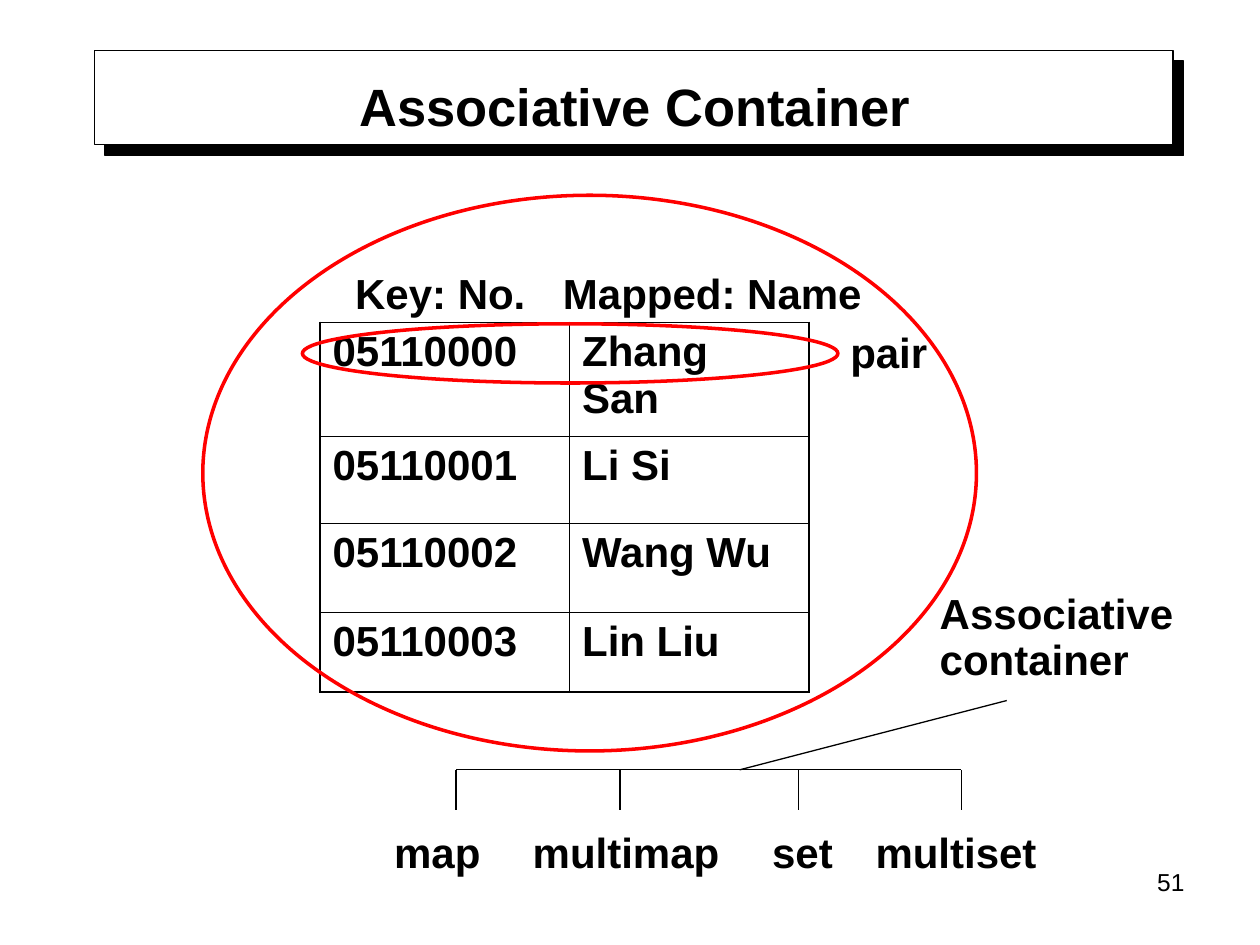
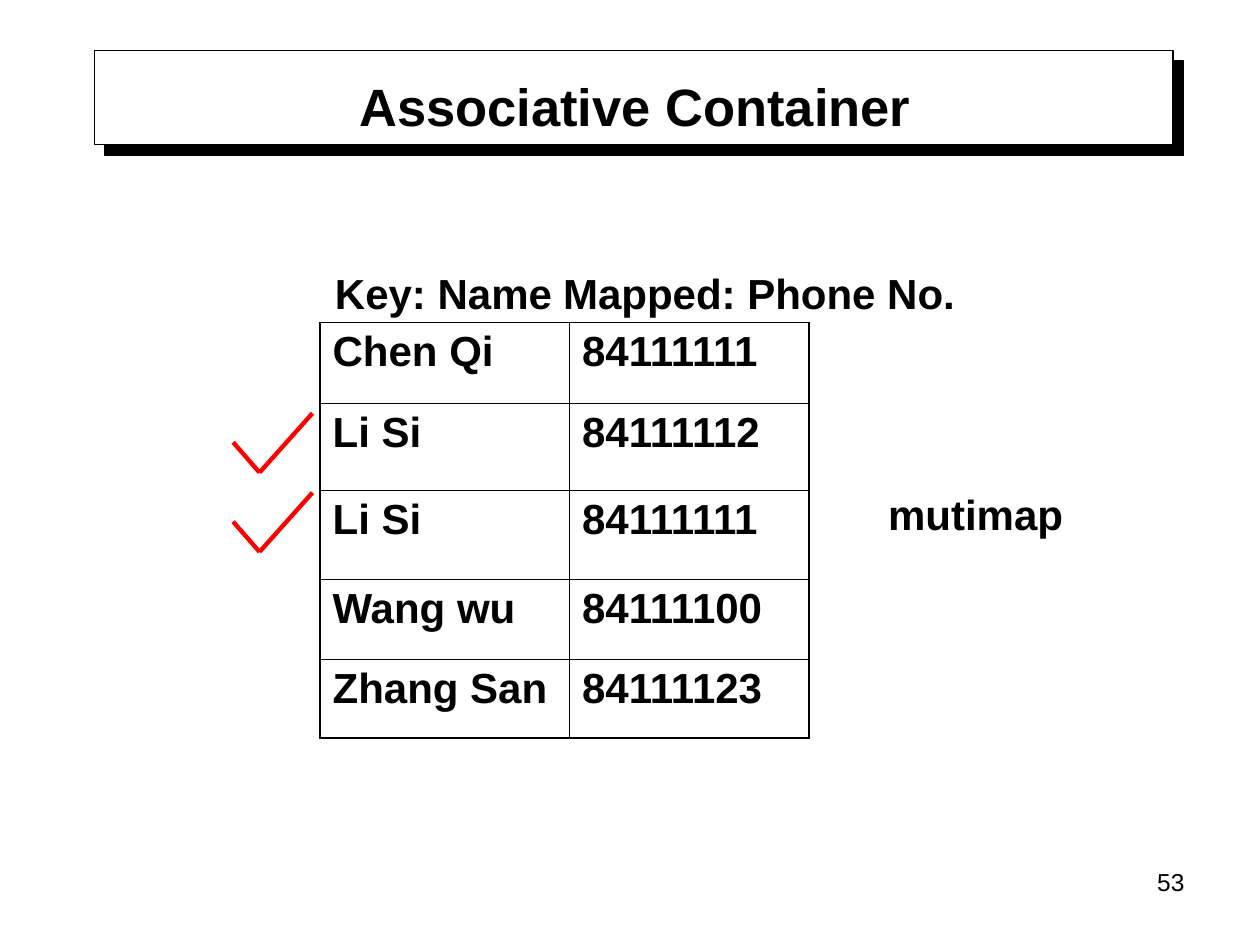
from lxml import etree
from pptx import Presentation
from pptx import util as u
from pptx.dml.color import RGBColor
from pptx.enum import shapes, text
from pptx.oxml import parse_xml
from pptx.oxml.ns import nsdecls, qn

INK, RED, PAPER = "000000", "FF0000", "FFFFFF"
FONT = "Arial"
ROWS = [0.64, 0.69, 0.71, 0.63, 0.63]
hue = RGBColor.from_string
left, mid = text.PP_ALIGN.LEFT, text.MSO_ANCHOR.MIDDLE


def label(page, words, x, y, w, h=0.5, size=24, bold=True, align=left, anchor=mid):
    frame = page.shapes.add_textbox(*map(u.Inches, (x, y, w, h))).text_frame
    frame.word_wrap = False
    frame.vertical_anchor = anchor
    para = frame.paragraphs[0]
    para.alignment = align
    run = para.add_run()
    run.text = words
    run.font.name, run.font.size, run.font.bold = FONT, u.Pt(size), bold
    run.font.color.rgb = hue(INK)


def stroke(page, x1, y1, x2, y2, color=INK, width=0.75):
    line = page.shapes.add_connector(
        shapes.MSO_CONNECTOR.STRAIGHT, *map(u.Inches, (x1, y1, x2, y2)))
    line.line.color.rgb = hue(color)
    line.line.width = u.Pt(width)
    etree.SubElement(line._element.spPr, qn("a:effectLst"))


prs = Presentation()
prs.slide_width, prs.slide_height = u.Inches(10), u.Inches(7.5)

decks = [
    ("51", [("05110000", "Zhang San"), ("05110001", "Li Si"),
            ("05110002", "Wang Wu"), ("05110003", "Lin Liu")]),
    ("53", [("Chen Qi", "84111111"), ("Li Si", "84111112"), ("Li Si", "84111111"),
            ("Wang wu", "84111100"), ("Zhang San", "84111123")]),
]
pages = []
for num, data in decks:
    page = prs.slides.add_slide(prs.slide_layouts[6])
    pages.append(page)

    band = page.shapes.add_shape(
        shapes.MSO_SHAPE.RECTANGLE, *map(u.Inches, (0.75, 0.4, 8.56, 0.75)))
    band.fill.solid()
    band.fill.fore_color.rgb = hue(PAPER)
    band.line.color.rgb = hue(INK)
    band.line.width = u.Pt(0.75)
    band.shadow.inherit = False
    glow = band._element.spPr.find(qn("a:effectLst"))
    glow.append(parse_xml(
        f'<a:outerShdw {nsdecls("a")} dist="{u.Pt(8.5)}" dir="2700000" algn="ctr" '
        f'rotWithShape="0"><a:srgbClr val="{INK}"/></a:outerShdw>'))

    label(page, num, 7.17, 6.83, 2.33, 0.52, 14, False,
          text.PP_ALIGN.RIGHT, text.MSO_ANCHOR.TOP)
    label(page, "Associative Container", 0.75, 0.52, 8.58, 0.63, 30,
          align=text.PP_ALIGN.CENTER)

    last = len(data) - 1
    grid = page.shapes.add_table(
        len(data), 2, *map(u.Inches, (2.54, 2.56, 3.88, sum(ROWS[:len(data)])))).table
    grid.first_row = grid.horz_banding = False
    for col, wide in zip(grid.columns, (1.98, 1.9)):
        col.width = u.Inches(wide)
    for i, pair in enumerate(data):
        grid.rows[i].height = u.Inches(ROWS[i])
        for j, words in enumerate(pair):
            cell = grid.cell(i, j)
            run = cell.text_frame.paragraphs[0].add_run()
            run.text = words
            run.font.name, run.font.size, run.font.bold = FONT, u.Pt(24), True
            run.font.color.rgb = hue(INK)
            props = cell._tc.get_or_add_tcPr()
            edges = {"L": j == 0, "R": j == 1, "T": i == 0, "B": i == last}
            for side, outer in edges.items():
                props.append(parse_xml(
                    f'<a:ln{side} {nsdecls("a")} w="{u.Pt(1.08 if outer else 0.45)}">'
                    f'<a:solidFill><a:srgbClr val="{INK}"/></a:solidFill></a:ln{side}>'))
            cell.fill.background()

tree, phone = pages

for words, x, y, w in [
    ("Key: No.", 2.72, 2.07, 1.64),
    ("Mapped: Name", 4.37, 2.07, 2.66),
    ("pair", 6.65, 2.54, 0.9),
    ("Associative", 7.36, 4.61, 2.05),
    ("container", 7.36, 4.98, 1.7),
    ("map", 3.03, 6.51, 0.98),
    ("multimap", 4.13, 6.51, 1.77),
    ("set", 6.03, 6.51, 0.68),
    ("multiset", 6.85, 6.51, 1.48),
]:
    label(tree, words, x, y, w)

for box in [(2.4, 2.57, 4.25, 0.47), (1.61, 1.55, 6.14, 4.41)]:
    ring = tree.shapes.add_shape(shapes.MSO_SHAPE.OVAL, *map(u.Inches, box))
    ring.fill.background()
    ring.line.color.rgb = hue(RED)
    ring.line.width = u.Pt(2)
    ring.shadow.inherit = False

stems = [3.62, 4.92, 6.34, 7.63]
stroke(tree, 7.99, 5.56, 5.87, 6.11)
stroke(tree, stems[0], 6.11, stems[-1], 6.11)
for x in stems:
    stroke(tree, x, 6.11, x, 6.43)

label(phone, "Key: Name", 2.56, 2.07, 2.01)
label(phone, "Mapped: Phone No.", 4.37, 2.07, 3.31)
label(phone, "mutimap", 6.95, 3.83, 1.59)
for y in (3.75, 4.38):
    stroke(phone, 1.85, y - 0.24, 2.06, y, RED, 2.5)
    stroke(phone, 2.06, y, 2.48, y - 0.47, RED, 2.5)

prs.save("out.pptx")
